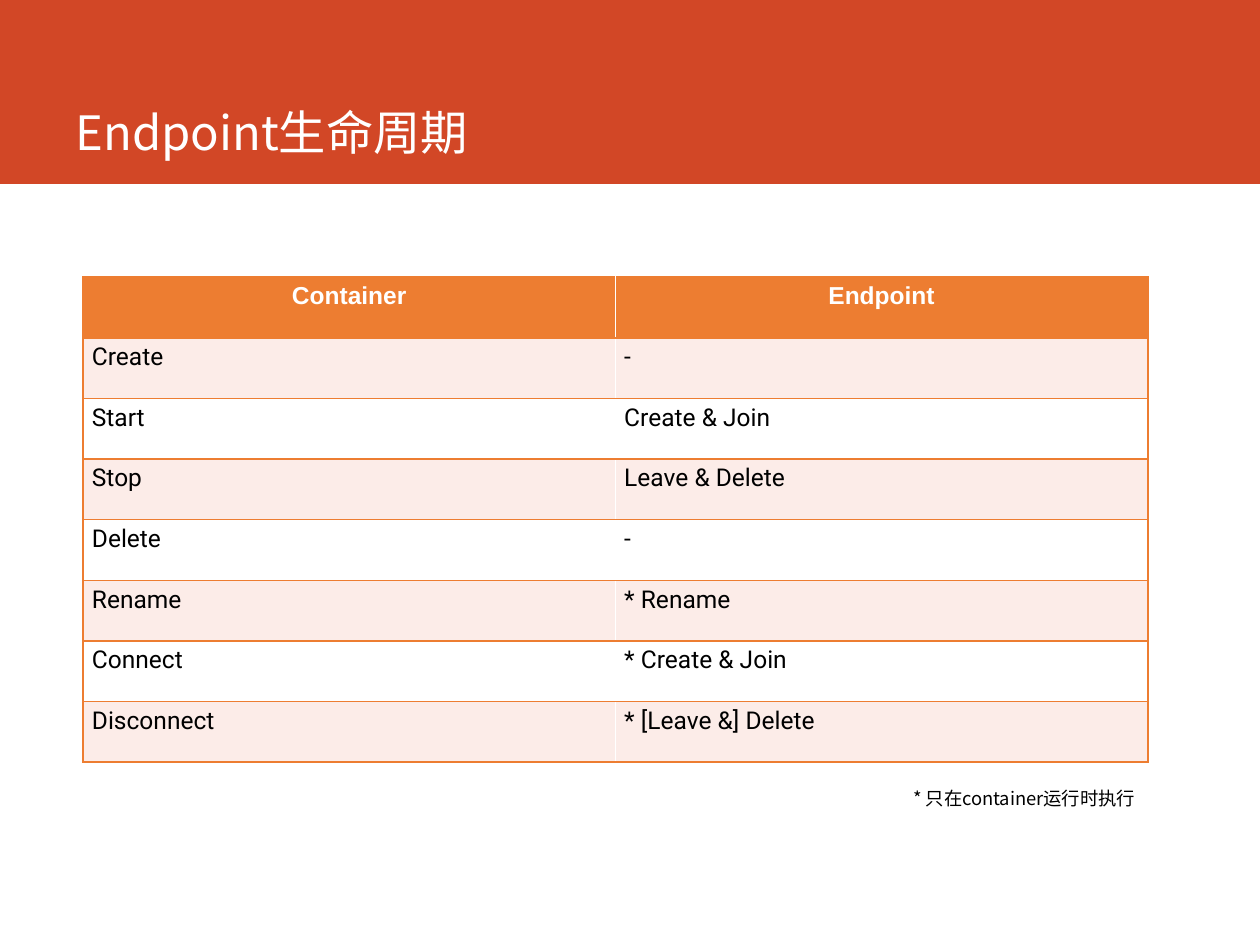
from dataclasses import dataclass

from lxml.etree import SubElement
from pptx import Presentation
from pptx.dml.color import RGBColor
from pptx.enum.shapes import MSO_SHAPE
from pptx.enum.text import MSO_ANCHOR, PP_ALIGN
from pptx.oxml.ns import qn
from pptx.util import Inches, Pt


@dataclass(frozen=True)
class Theme:
    """Colours, fonts and type sizes of the slide."""
    banner: str = "D24726"
    accent: str = "ED7D31"
    band: str = "FCECE8"
    white: str = "FFFFFF"
    black: str = "000000"
    cjk_font: str = "Noto Sans CJK SC"
    head_font: str = "Arial"
    body_font: str = "Roboto"
    title_size: float = 27
    table_size: float = 14
    note_size: float = 10.5
    border_width: float = 1


THEME = Theme()

LIFECYCLE = [
    ("Container", "Endpoint"),
    ("Create", "-"),
    ("Start", "Create & Join"),
    ("Stop", "Leave & Delete"),
    ("Delete", "-"),
    ("Rename", "* Rename"),
    ("Connect", "* Create & Join"),
    ("Disconnect", "* [Leave &] Delete"),
]


def apply_format(target, values):
    """Set every named attribute on the target."""
    for name, value in values.items():
        setattr(target, name, value)


def write(paragraph, wording, size, face, color, bold=False):
    """Add one formatted run to a paragraph."""
    run = paragraph.add_run()
    run.text = wording
    apply_format(run.font, {"size": Pt(size), "name": face, "bold": bold})
    run.font.color.rgb = RGBColor.from_string(color)
    SubElement(run.font._element, qn("a:ea"), typeface=face)


def add_banner(slide):
    """Draw the coloured band across the top."""
    banner = slide.shapes.add_shape(
        MSO_SHAPE.RECTANGLE, 0, 0, Inches(10), Inches(1.46))
    banner.shadow.inherit = False
    banner.fill.solid()
    banner.fill.fore_color.rgb = RGBColor.from_string(THEME.banner)
    banner.line.fill.background()


def add_label(slide, wording, place, size, color, anchor):
    """Place a wrapped line of text in its own box."""
    label = slide.shapes.add_textbox(*map(Inches, place)).text_frame
    apply_format(label, {"word_wrap": True, "vertical_anchor": anchor})
    write(label.paragraphs[0], wording, size, THEME.cjk_font, color)


def add_borders(cell, sides):
    """Outline the given sides of a cell, ahead of its fill."""
    properties = cell._tc.get_or_add_tcPr()
    for position, side in enumerate(sides):
        edge = SubElement(properties, qn(f"a:ln{side}"),
                          w=str(Pt(THEME.border_width)))
        paint = SubElement(edge, qn("a:solidFill"))
        SubElement(paint, qn("a:srgbClr"), val=THEME.accent)
        properties.insert(position, edge)


def fill_cell(cell, wording, row, column):
    """Write and style one cell by its place in the table."""
    heading = row == 0
    apply_format(cell, {
        "margin_left": Inches(0.07), "margin_right": Inches(0.07),
        "margin_top": Inches(0.04), "margin_bottom": Inches(0.04),
    })
    paragraph = cell.text_frame.paragraphs[0]
    if heading:
        paragraph.alignment = PP_ALIGN.CENTER
        background, face, ink = THEME.accent, THEME.head_font, THEME.white
    else:
        background = THEME.band if row % 2 else THEME.white
        face, ink = THEME.body_font, THEME.black
    write(paragraph, wording, THEME.table_size, face, ink, heading)
    cell.fill.solid()
    cell.fill.fore_color.rgb = RGBColor.from_string(background)
    add_borders(cell, "RTB" if column else "LTB")


def add_lifecycle_table(slide):
    """Build the table of container and endpoint actions."""
    table = slide.shapes.add_table(
        len(LIFECYCLE), len(LIFECYCLE[0]),
        Inches(0.66), Inches(2.2), Inches(8.45), Inches(3.85)).table
    for row, actions in enumerate(LIFECYCLE):
        for column, action in enumerate(actions):
            fill_cell(table.cell(row, column), action, row, column)


def main():
    """Build the slide and save it."""
    deck = Presentation()
    apply_format(deck, {"slide_width": Inches(10), "slide_height": Inches(7.5)})
    slide = deck.slides.add_slide(deck.slide_layouts[6])
    add_banner(slide)
    add_label(slide, "Endpoint生命周期", (0.5, 0, 8.82, 1.32),
              THEME.title_size, THEME.white, MSO_ANCHOR.BOTTOM)
    add_lifecycle_table(slide)
    add_label(slide, "* 只在container运行时执行", (7.15, 6.2, 2.01, 0.28),
              THEME.note_size, THEME.black, MSO_ANCHOR.TOP)
    deck.save("out.pptx")


if __name__ == "__main__":
    main()
